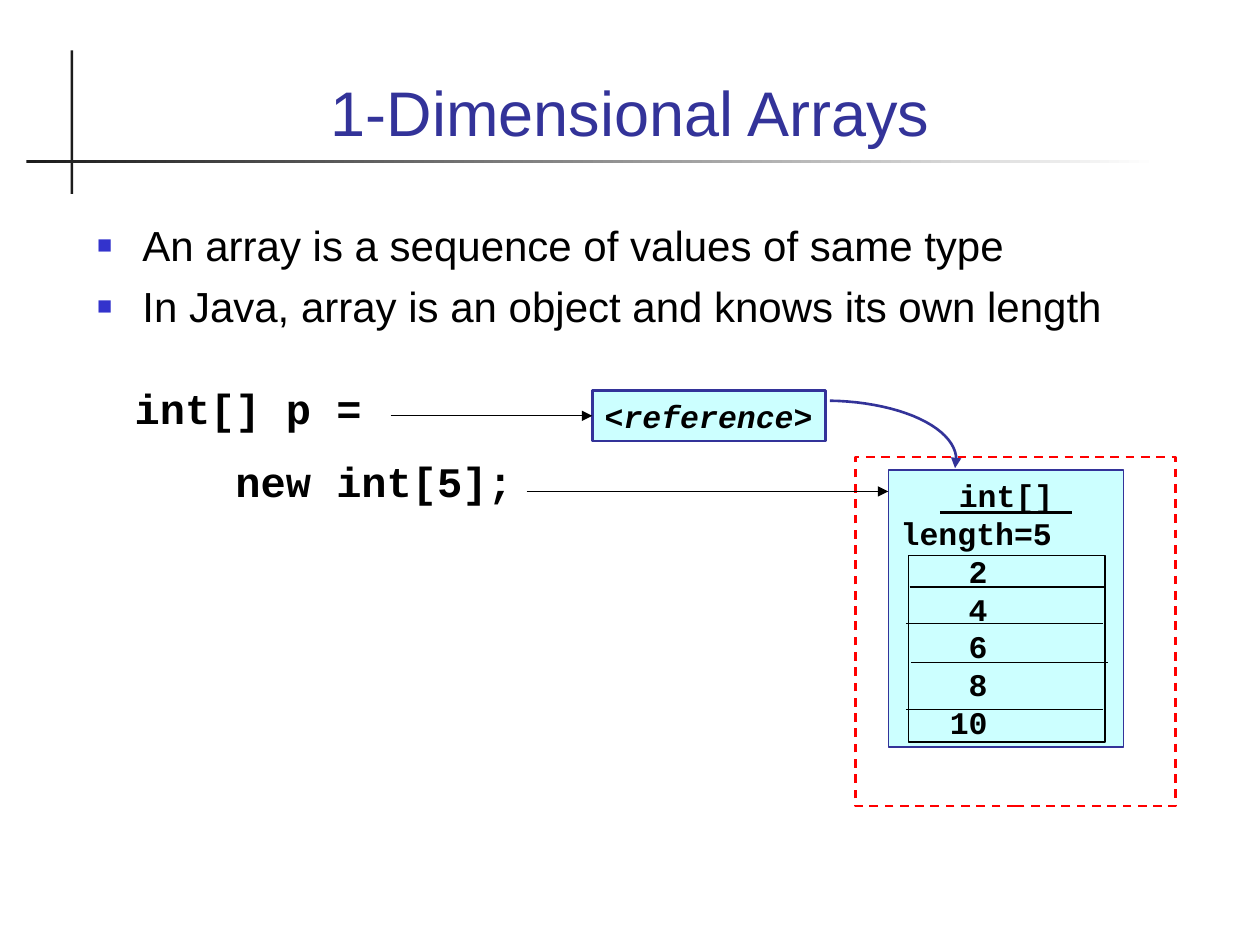
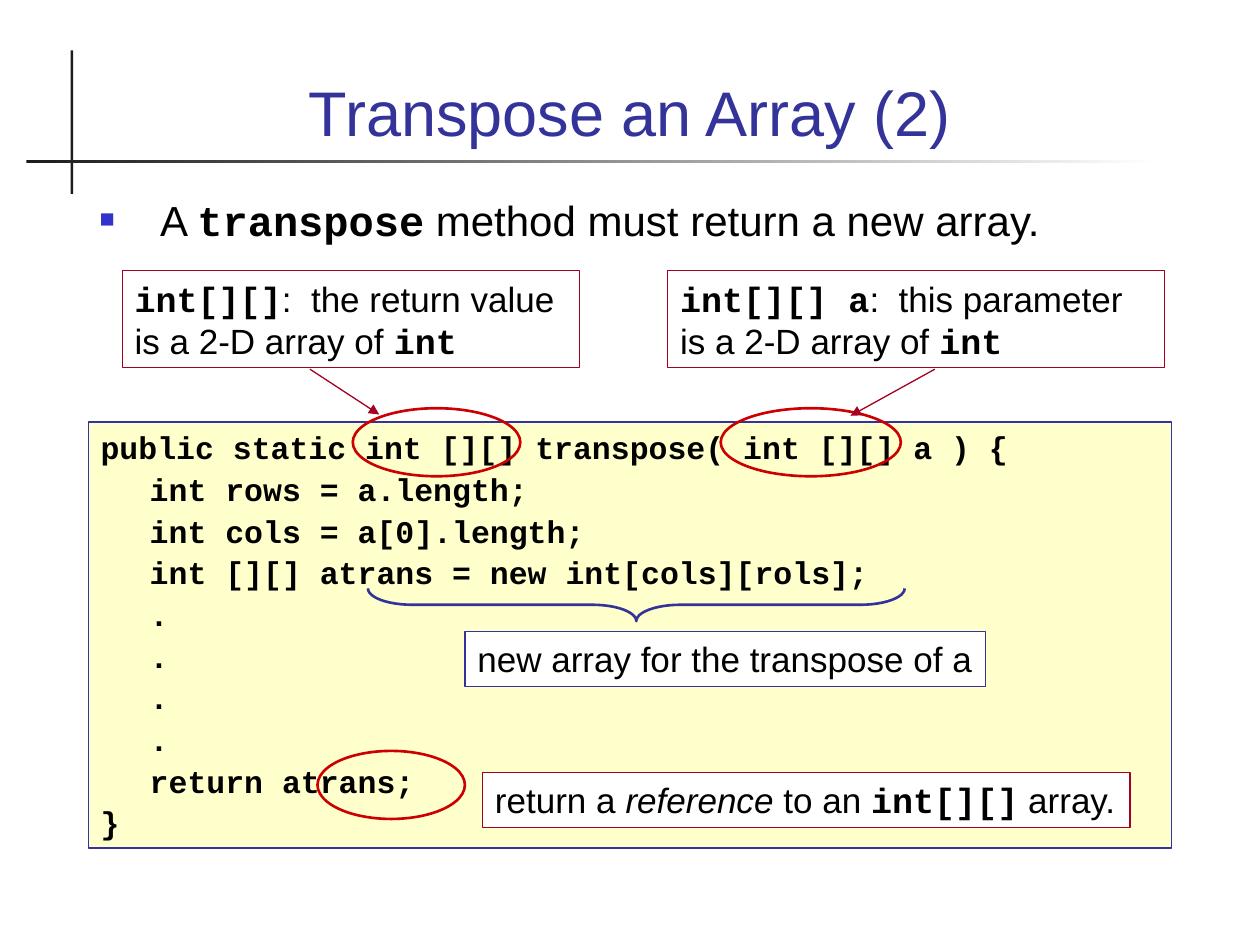
import math
import lxml.etree
import pptx
import pptx.dml.color
import pptx.enum.dml
import pptx.enum.shapes
import pptx.enum.text
import pptx.oxml.ns
import pptx.shapes.connector
import pptx.util

Inches = pptx.util.Inches
Pt = pptx.util.Pt
rgb = pptx.dml.color.RGBColor.from_string
qn = pptx.oxml.ns.qn
SHAPE = pptx.enum.shapes.MSO_SHAPE
STRAIGHT = pptx.enum.shapes.MSO_CONNECTOR.STRAIGHT
ALIGN = pptx.enum.text.PP_ALIGN
ANCHOR = pptx.enum.text.MSO_ANCHOR

BLACK, WHITE, INK = "000000", "FFFFFF", "1C1C1C"
NAVY, BULLET, CYAN, CREAM = "333399", "3333CC", "CCFFFF", "FFFFCC"
RED, RING, MAROON = "FF0000", "CC0000", "A50021"


def style(sp, fill=None, line=None, width=0.75, arrow=False):
    if isinstance(sp, pptx.shapes.connector.Connector):
        sp.line.color.rgb = rgb(line)
        lxml.etree.SubElement(sp._element.spPr, qn("a:effectLst"))
    else:
        sp.shadow.inherit = False
        if fill:
            sp.fill.solid()
            sp.fill.fore_color.rgb = rgb(fill)
        else:
            sp.fill.background()
        if line:
            sp.line.color.rgb = rgb(line)
        else:
            sp.line.fill.background()
    if line:
        sp.line.width = Pt(width)
    if arrow:
        ln = sp._element.spPr.find(qn("a:ln"))
        lxml.etree.SubElement(ln, qn("a:tailEnd"), type="triangle")
    return sp


def write(sp, paragraphs, size, before=0, wrap=True, tab=None, color=BLACK):
    tf = sp.text_frame
    tf.word_wrap = wrap
    tf.auto_size = pptx.enum.text.MSO_AUTO_SIZE.NONE
    tf.vertical_anchor = ANCHOR.TOP
    for i, runs in enumerate(paragraphs):
        p = tf.paragraphs[0] if i == 0 else tf.add_paragraph()
        p.alignment = ALIGN.LEFT
        p.space_before = Pt(before if i else 0)
        if tab:
            tabs = lxml.etree.SubElement(p._p.get_or_add_pPr(), qn("a:tabLst"))
            lxml.etree.SubElement(tabs, qn("a:tab"), pos=str(Inches(tab[0])), algn=tab[1])
        for text, look in runs:
            r = p.add_run()
            r.text = text
            r.font.name = "Courier New" if "code" in look else "Arial"
            r.font.size = Pt(size)
            r.font.bold = "code" in look
            r.font.italic = "italic" in look
            r.font.underline = "underline" in look
            r.font.color.rgb = rgb(color)
    return tf


prs = pptx.Presentation()
prs.slide_width, prs.slide_height = Inches(10), Inches(7.5)

pages = [
    ("1-Dimensional Arrays", (0.67, 1.69, 8.66, 1.51), 0.36, [
        [("An array is a sequence of values of same type", "")],
        [("In Java, array is an object and knows its own length", "")]]),
    ("Transpose an Array (2)", (0.69, 1.49, 8.63, 0.54), 0.48, [
        [("A ", ""), ("transpose", "code"), (" method must return a new array.", "")]]),
]
for heading, box, indent, items in pages:
    slide = prs.slides.add_slide(prs.slide_layouts[1])
    shapes = slide.shapes
    style(shapes.add_shape(SHAPE.RECTANGLE, Inches(0.56), Inches(0.4), Inches(0.02), Inches(1.14)), INK)
    rule = style(shapes.add_shape(SHAPE.RECTANGLE, Inches(0.21), Inches(1.27), Inches(8.99), Inches(0.02)))
    rule.fill.gradient()
    rule.fill.gradient_angle = 0
    for stop, color in zip(rule.fill.gradient_stops, (INK, WHITE)):
        stop.color.rgb = rgb(color)

    title = shapes.title
    title.left, title.top, title.width, title.height = map(Inches, (0.67, 0.28, 8.66, 0.95))
    tf = write(title, [[(heading, "")]], 36, color=NAVY)
    tf.vertical_anchor = ANCHOR.BOTTOM
    tf.paragraphs[0].alignment = ALIGN.CENTER

    body = slide.placeholders[1]
    body.left, body.top, body.width, body.height = map(Inches, box)
    for p in write(body, items, 24, before=6).paragraphs:
        pPr = p._p.get_or_add_pPr()
        pPr.set("marL", str(Inches(indent)))
        pPr.set("indent", str(-Inches(indent)))
        buClr = lxml.etree.SubElement(pPr, qn("a:buClr"))
        lxml.etree.SubElement(buClr, qn("a:srgbClr"), val=BULLET)
        lxml.etree.SubElement(pPr, qn("a:buSzPct"), val="60000")
        lxml.etree.SubElement(pPr, qn("a:buFont"), typeface="Arial")
        lxml.etree.SubElement(pPr, qn("a:buChar"), char="■")

shapes = prs.slides[0].shapes
declaration = shapes.add_textbox(Inches(0.97), Inches(2.99), Inches(3.2), Inches(1.65))
write(declaration, [[("int[] p =", "code")], [("    new int[5];", "code")]], 24, before=12.5, wrap=False)

array = style(shapes.add_shape(SHAPE.RECTANGLE, Inches(7.05), Inches(3.73), Inches(1.87), Inches(2.2)), CYAN, NAVY)
rows = [[(" int[] ", "code underline")], [("length=5", "code")]]
rows += [[(f"\t{value}", "code")] for value in (2, 4, 6, 8, 10)]
tf = write(array, rows, 18, tab=(0.69, "r"))
tf.paragraphs[0].alignment = ALIGN.CENTER

heap = style(shapes.add_shape(SHAPE.RECTANGLE, Inches(6.79), Inches(3.63), Inches(2.54), Inches(2.77)), None, RED, 1.25)
heap.line.dash_style = pptx.enum.dml.MSO_LINE.DASH

reference = style(shapes.add_shape(SHAPE.RECTANGLE, Inches(4.7), Inches(3.1), Inches(1.85), Inches(0.4)), CYAN, NAVY, 1.5)
write(reference, [[("<", "code"), ("reference", "code italic"), (">", "code")]], 18, wrap=False)

style(shapes.add_shape(SHAPE.RECTANGLE, Inches(7.21), Inches(4.41), Inches(1.56), Inches(1.48)), None, BLACK)
for x, y in ((7.22, 4.66), (7.19, 4.95), (7.23, 5.26), (7.19, 5.63)):
    style(shapes.add_connector(STRAIGHT, Inches(x), Inches(y), Inches(x + 1.56), Inches(y)), line=BLACK)

arrow = shapes.add_connector(STRAIGHT, Inches(3.1), Inches(3.3), Inches(4.7), Inches(3.3))
arrow.end_connect(reference, 1)
style(arrow, line=BLACK, arrow=True)
style(shapes.add_connector(STRAIGHT, Inches(4.18), Inches(3.9), Inches(7.05), Inches(3.9)), line=BLACK, arrow=True)

angles = [math.radians(-88 + 4 * i) for i in range(25)]
points = [(Inches(6.55 + 1.04 * math.cos(a)), Inches(3.65 + 0.47 * math.sin(a))) for a in angles]
builder = shapes.build_freeform(*points[0])
builder.add_line_segments(points[1:], close=False)
style(builder.convert_to_shape(), None, NAVY, 1.5, arrow=True)

shapes = prs.slides[1].shapes
code = style(shapes.add_shape(SHAPE.RECTANGLE, Inches(0.7), Inches(3.35), Inches(8.6), Inches(3.38)), CREAM, NAVY)
lines = [
    "public static int [][] transpose( int [][] a ) {",
    "\tint rows = a.length;",
    "\tint cols = a[0].length;",
    "\tint [][] atrans = new int[cols][rols];",
    *["\t."] * 4,
    "\treturn atrans;",
    "}",
]
write(code, [[(line, "code")] for line in lines], 18, before=2.2, tab=(0.39, "l"))

for x, y, w in ((2.8, 3.24, 1.33), (5.72, 3.24, 1.43), (2.52, 5.96, 1.17)):
    style(shapes.add_shape(SHAPE.OVAL, Inches(x), Inches(y), Inches(w), Inches(0.54)), None, RING, 1.5)

brace = style(shapes.add_shape(SHAPE.RIGHT_BRACE, Inches(4.92), Inches(2.67), Inches(0.26), Inches(4.26)), None, NAVY, 1.5)
brace.rotation = 90
brace.adjustments[0] = 1.35

labels = [
    (0.97, 2.15, 3.63, 0.77, None, MAROON, True,
     [("int[][]", "code"), (":  the return value is a 2-D array of ", ""), ("int", "code")]),
    (5.3, 2.15, 3.94, 0.77, None, MAROON, True,
     [("int[][] a", "code"), (":  this parameter is a 2-D array of ", ""), ("int", "code")]),
    (3.83, 6.13, 5.14, 0.44, WHITE, MAROON, False,
     [("return a ", ""), ("reference", "italic"), (" to an ", ""), ("int[][]", "code"), (" array.", "")]),
    (3.69, 5.01, 4.13, 0.44, WHITE, NAVY, False, [("new array for the transpose of a", "")]),
]
for x, y, w, h, fill, line, wrap, runs in labels:
    label = shapes.add_shape(SHAPE.RECTANGLE, Inches(x), Inches(y), Inches(w), Inches(h))
    write(style(label, fill, line), [runs], 20, wrap=wrap)

for x1, y1, x2, y2 in ((2.46, 2.93, 3.01, 3.29), (7.42, 2.93, 6.75, 3.3)):
    pointer = shapes.add_connector(STRAIGHT, Inches(x1), Inches(y1), Inches(x2), Inches(y2))
    style(pointer, line=MAROON, arrow=True)

prs.save("out.pptx")
